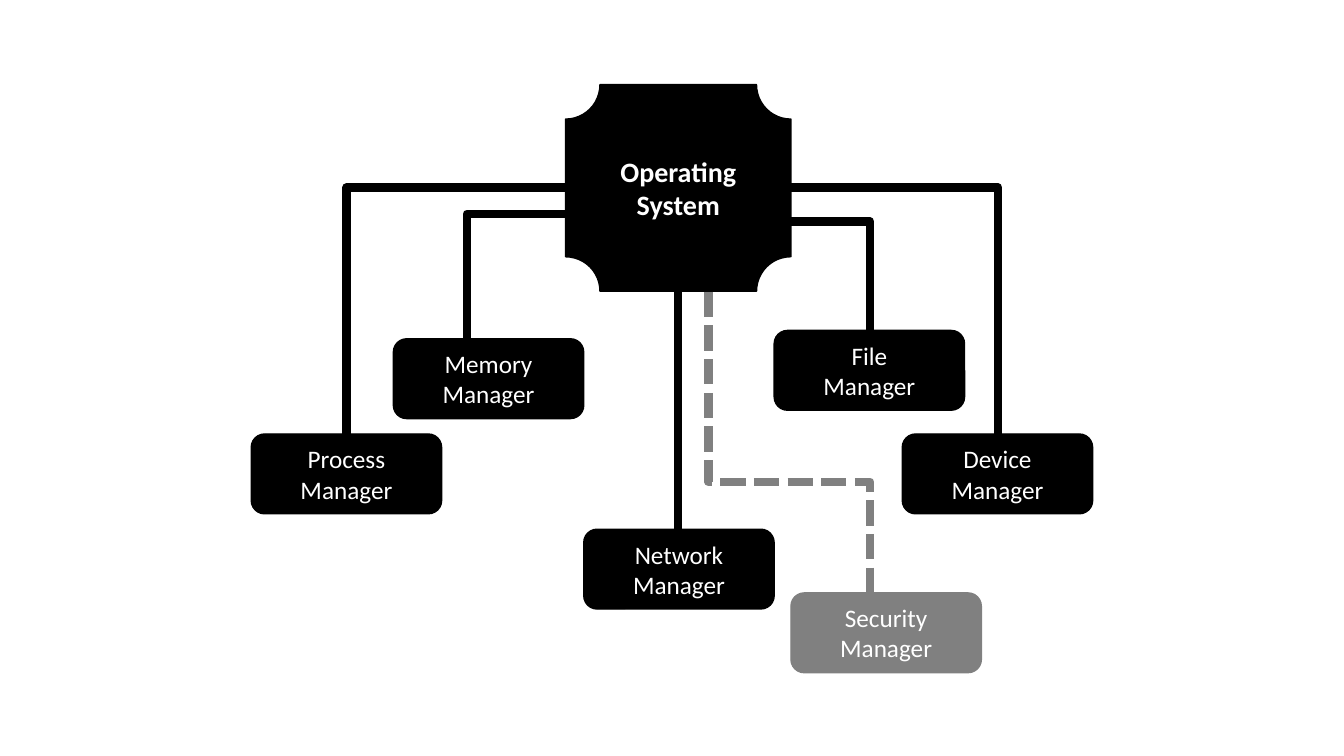
from dataclasses import dataclass

from lxml.etree import SubElement
from pptx import Presentation
from pptx.dml.color import RGBColor
from pptx.enum.dml import MSO_LINE
from pptx.enum.shapes import MSO_CONNECTOR, MSO_SHAPE
from pptx.enum.text import MSO_ANCHOR, PP_ALIGN
from pptx.oxml.ns import qn
from pptx.util import Pt


@dataclass(frozen=True)
class Theme:
    """Hold the colours, font and sizes of the slide."""
    ink: RGBColor = RGBColor(0, 0, 0)
    grey: RGBColor = RGBColor(128, 128, 128)
    white: RGBColor = RGBColor(255, 255, 255)
    font: str = "Calibri"
    head: int = 20
    body: int = 18
    edge: int = 1
    wire: int = 6


def write(frame, text, *, font, size, color, bold=False):
    """Write each line of text as a centred paragraph."""
    frame.word_wrap = True
    frame.vertical_anchor = MSO_ANCHOR.MIDDLE
    for i, line in enumerate(text.splitlines()):
        para = frame.add_paragraph() if i else frame.paragraphs[0]
        para.alignment = PP_ALIGN.CENTER
        run = para.add_run()
        run.text = line
        run.font.name = font
        run.font.size = Pt(size)
        run.font.bold = bold
        run.font.color.rgb = color


class Chart:
    """Draw hubs, boxes and wires on one slide."""

    def __init__(self, slide, theme):
        """Keep the slide and its theme."""
        self.slide = slide
        self.theme = theme

    def block(self, kind, text, area, color, **style):
        """Draw a filled shape with centred text."""
        shape = self.slide.shapes.add_shape(kind, *map(Pt, area))
        shape.shadow.inherit = False
        shape.fill.solid()
        shape.fill.fore_color.rgb = color
        shape.line.color.rgb = color
        shape.line.width = Pt(self.theme.edge)
        write(shape.text_frame, text, font=self.theme.font,
              color=self.theme.white, **style)

    def hub(self, text, area):
        """Draw the central plaque."""
        self.block(MSO_SHAPE.PLAQUE, text, area, self.theme.ink,
                   size=self.theme.head, bold=True)

    def box(self, text, left, top, color):
        """Draw one manager box."""
        self.block(MSO_SHAPE.ROUNDED_RECTANGLE, text, (left, top, 136, 57),
                   color, size=self.theme.body)

    def wire(self, start, end, color, down=False, bend=None, dash=None):
        """Draw a straight or bent wire, leaving vertically if down is set."""
        (x1, y1), (x2, y2) = start, end
        dx, dy = x2 - x1, y2 - y1
        midx, midy = (x1 + x2) / 2, (y1 + y2) / 2
        turn = 0
        if down:
            turn = 270 if dx * dy > 0 else 90
            dx, dy = (-dy, dx) if turn == 270 else (dy, -dx)
        kind = MSO_CONNECTOR.ELBOW if dx and dy else MSO_CONNECTOR.STRAIGHT
        line = self.slide.shapes.add_connector(
            kind, Pt(midx - dx / 2), Pt(midy - dy / 2),
            Pt(midx + dx / 2), Pt(midy + dy / 2))
        line.line.color.rgb = color
        line.line.width = Pt(self.theme.wire)
        if dash:
            line.line.dash_style = dash
        props = line.element.spPr
        SubElement(props, qn("a:effectLst"))
        if turn:
            props.find(qn("a:xfrm")).set("rot", str(turn * 60000))
        if kind == MSO_CONNECTOR.ELBOW:
            geom = props.find(qn("a:prstGeom"))
            if bend is None:
                geom.set("prst", "bentConnector2")
            else:
                SubElement(geom.find(qn("a:avLst")), qn("a:gd"), name="adj1",
                           fmla=f"val {round(bend * 100000)}")


def main():
    """Build the slide and save it."""
    deck = Presentation()
    deck.slide_width, deck.slide_height = Pt(960), Pt(540)
    theme = Theme()
    chart = Chart(deck.slides.add_slide(deck.slide_layouts[6]), theme)
    chart.hub("Operating\nSystem", (404, 60.5, 161, 147.5))
    parts = [
        ("Process", (179.5, 310), (247.5, 310), (404, 134), {"down": True}),
        ("Memory", (281, 242), (404, 151), (333.5, 242),
         {"down": True, "bend": 0.02}),
        ("Network", (417, 378), (484.5, 378), (484.5, 185), {}),
        ("Device", (644.5, 310), (565, 134), (713, 310), {}),
        ("Security", (565, 423.5), (506, 208.5), (621.5, 424),
         {"down": True, "bend": 0.63, "dash": MSO_LINE.SQUARE_DOT}),
        ("File", (553, 236), (559.5, 171.5), (621.5, 292.5),
         {"down": True, "bend": -0.11}),
    ]
    for name, spot, start, end, route in parts:
        color = theme.grey if "dash" in route else theme.ink
        chart.wire(start, end, color, **route)
        chart.box(f"{name}\nManager", *spot, color)
    deck.save("out.pptx")


if __name__ == "__main__":
    main()
